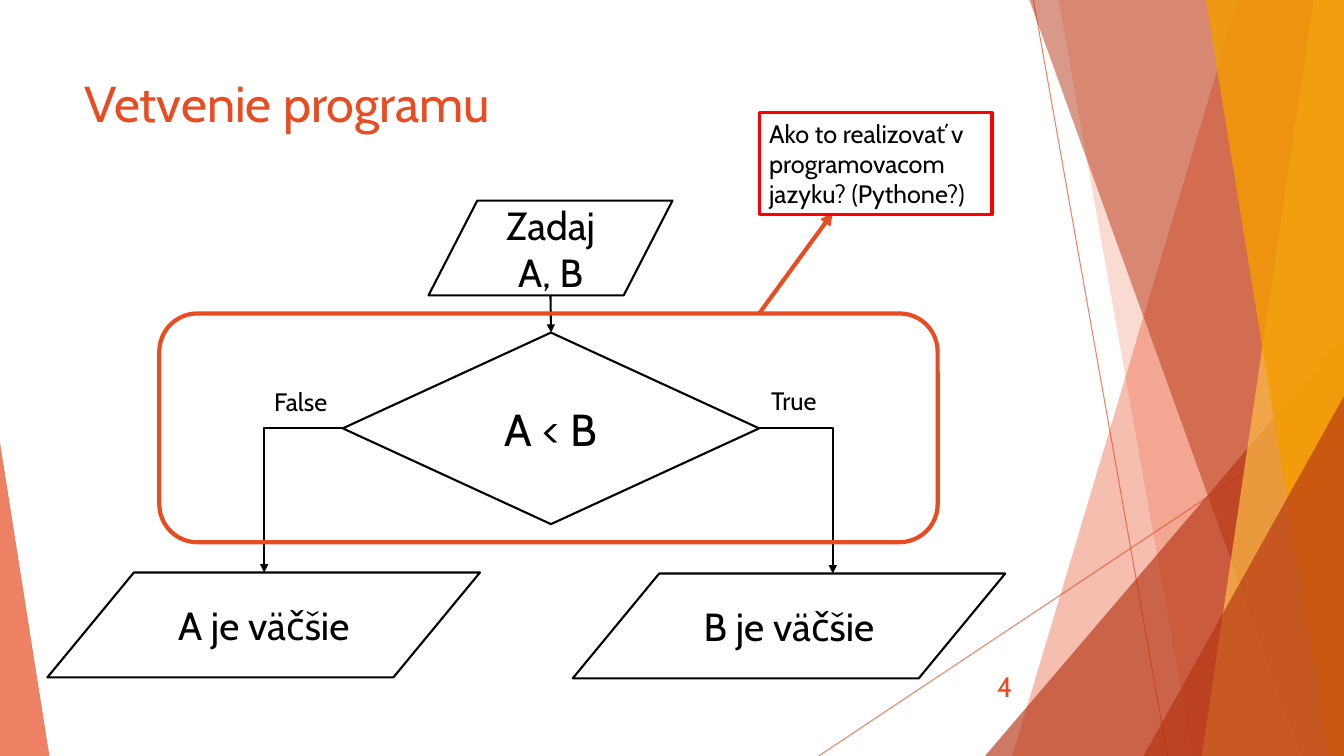
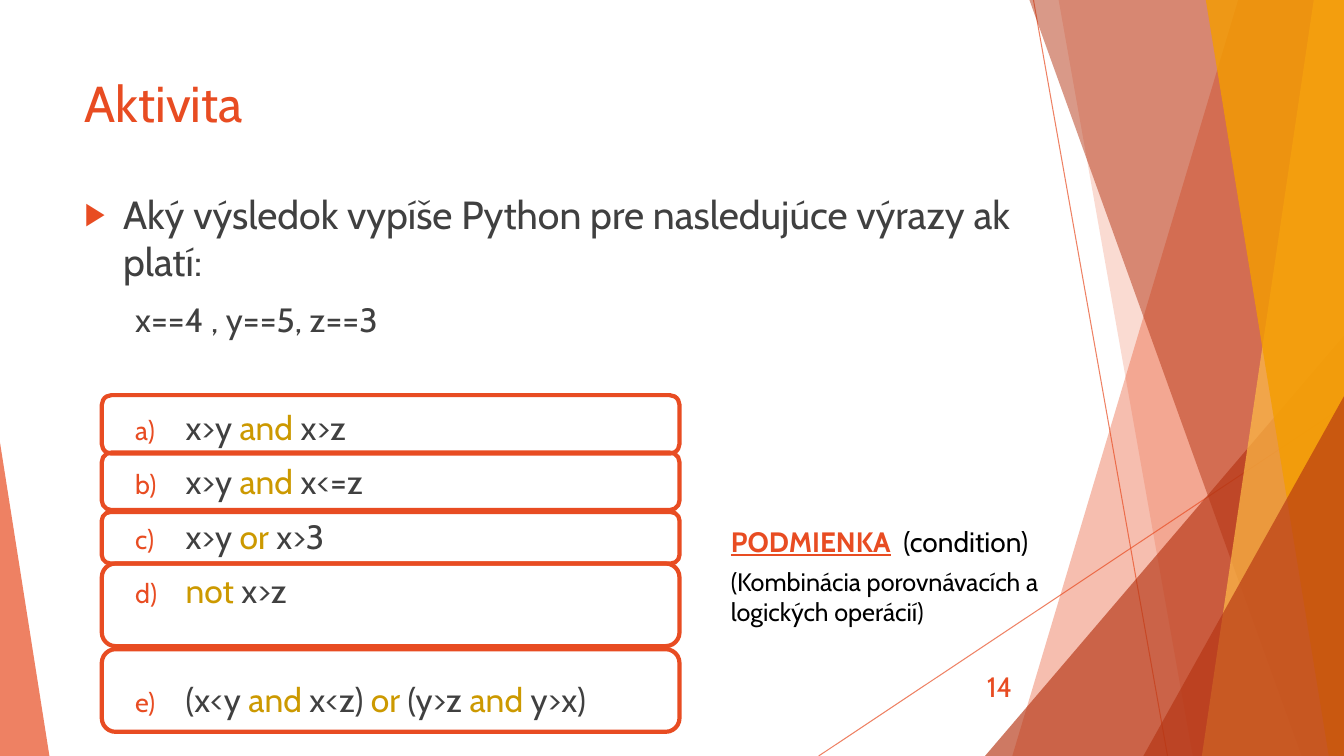
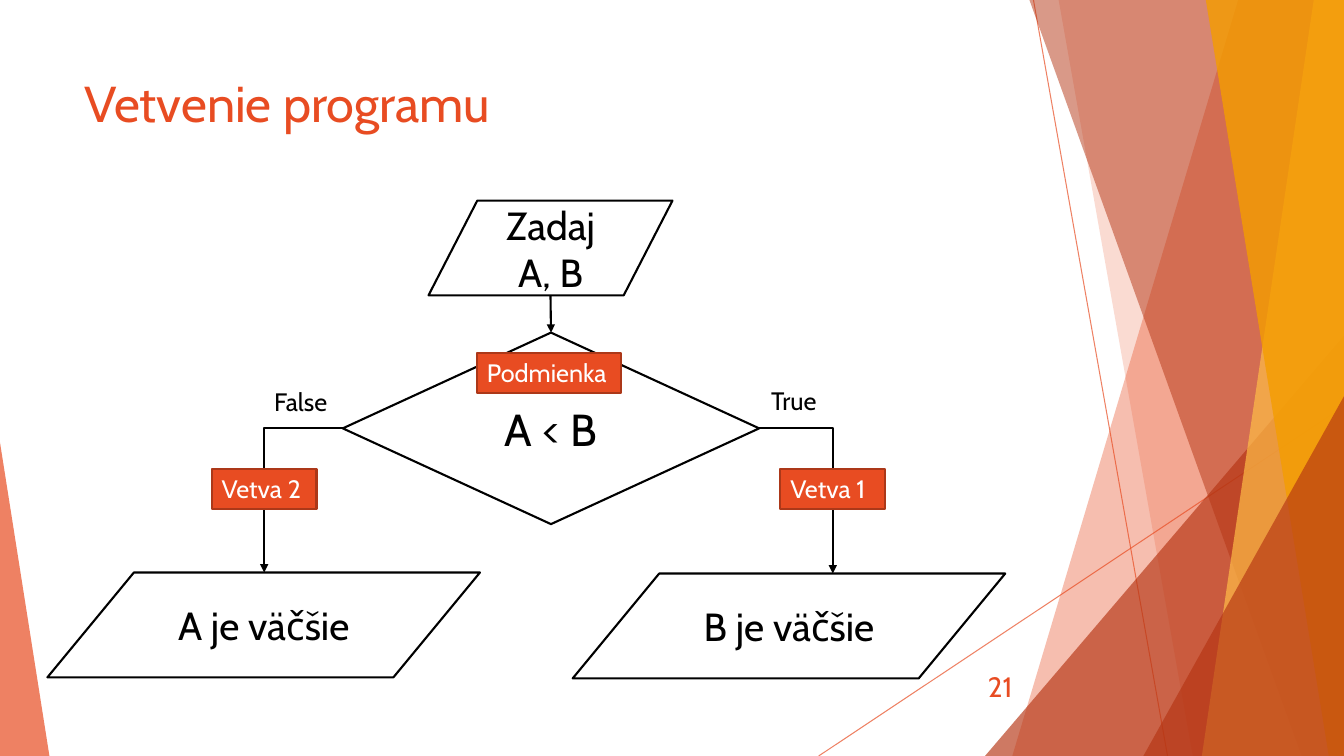
from lxml import etree
from pptx import Presentation
from pptx.dml.color import RGBColor
from pptx.enum.shapes import MSO_CONNECTOR, MSO_SHAPE
from pptx.enum.text import MSO_ANCHOR, MSO_AUTO_SIZE, PP_ALIGN
from pptx.oxml.ns import qn
from pptx.util import Inches, Pt

STRAIGHT, ELBOW = MSO_CONNECTOR.STRAIGHT, MSO_CONNECTOR.ELBOW
RECTANGLE, ROUNDED = MSO_SHAPE.RECTANGLE, MSO_SHAPE.ROUNDED_RECTANGLE
TRIANGLE = MSO_SHAPE.ISOSCELES_TRIANGLE
DATA, DECISION = MSO_SHAPE.FLOWCHART_DATA, MSO_SHAPE.FLOWCHART_DECISION
TOP, MIDDLE = MSO_ANCHOR.TOP, MSO_ANCHOR.MIDDLE
LEFT, CENTER, RIGHT = PP_ALIGN.LEFT, PP_ALIGN.CENTER, PP_ALIGN.RIGHT
NO_FIT = MSO_AUTO_SIZE.NONE

WIDTH, HEIGHT = 13.33, 7.5
FONT = "Cabin"
ORANGE = RGBColor(0xE8, 0x4C, 0x22)
RUST = RGBColor(0xB5, 0x35, 0x13)
DARK_ORANGE = RGBColor(0xAC, 0x38, 0x19)
AMBER = RGBColor(0xFF, 0xBD, 0x47)
GOLD = RGBColor(0xF4, 0x9D, 0x00)
KEYWORD = RGBColor(0xCC, 0x99, 0x00)
GRAY = RGBColor(0x40, 0x40, 0x40)
BLACK = RGBColor(0, 0, 0)
WHITE = RGBColor(0xFF, 0xFF, 0xFF)
RED = RGBColor(0xFF, 0, 0)

TITLE_LAYOUT, CONTENT_LAYOUT = 5, 1
CHART_LEFT, CHART_TOP = 0.47, 1.99
LINE_PITCH = 38.6
KEYWORDS = ("and", "or", "not")


def inches(*lengths):
    return [Inches(length) for length in lengths]


def style_span(span, size, color):
    span.font.name = FONT
    span.font.size = Pt(size)
    span.font.color.rgb = color


def write(frame, text, size, color, align=LEFT, anchor=TOP, wrap=True):
    frame.word_wrap = wrap
    frame.auto_size = NO_FIT
    frame.vertical_anchor = anchor
    para = frame.paragraphs[0]
    para.text = text
    para.alignment = align
    style_span(para.runs[0], size, color)


def add_span(para, text, size, color):
    span = para.add_run()
    span.text = text
    style_span(span, size, color)
    return span


def set_alpha(shape, percent):
    color = shape._element.spPr.find(".//" + qn("a:srgbClr"))
    etree.SubElement(color, qn("a:alpha")).set("val", str(percent * 1000))


def add_box(slide, kind, box, fill, line, weight):
    shape = slide.shapes.add_shape(kind, *inches(*box))
    shape.shadow.inherit = False
    if fill is None:
        shape.fill.background()
    else:
        shape.fill.solid()
        shape.fill.fore_color.rgb = fill
    shape.line.color.rgb = line
    shape.line.width = Pt(weight)
    return shape


def add_label(slide, box, text, size, color, **layout):
    label = slide.shapes.add_textbox(*inches(*box))
    write(label.text_frame, text, size, color, **layout)


def add_line(shapes, kind, start, end, color, weight):
    line = shapes.add_connector(kind, *inches(*start, *end))
    line.line.color.rgb = color
    line.line.width = Pt(weight)
    etree.SubElement(line._element.spPr, qn("a:effectLst"))
    return line


def add_arrow(slide, kind, start, end, color, weight):
    arrow = add_line(slide.shapes, kind, start, end, color, weight)
    if kind == ELBOW:
        arrow._element.spPr.find(qn("a:prstGeom")).set("prst", "bentConnector2")
    etree.SubElement(arrow.line._get_or_add_ln(), qn("a:tailEnd")).set("type", "triangle")
    return arrow


def add_band(group, top_x, bottom_x):
    """Band from a slanted left edge to the right edge of the slide."""
    outline = group.shapes.build_freeform(*inches(top_x, 0))
    corners = ((WIDTH, 0), (WIDTH, HEIGHT), (bottom_x, HEIGHT))
    outline.add_line_segments([inches(*corner) for corner in corners])
    return outline.convert_to_shape()


def add_wedge(group, left, top, width, apex):
    """Triangle standing on the bottom edge of the slide."""
    wedge = group.shapes.add_shape(TRIANGLE, *inches(left, top, width, HEIGHT - top))
    wedge.adjustments[0] = apex
    return wedge


def decorate_master(deck, slide):
    """Draw the facets and move them to the master, which every slide shows."""
    group = slide.shapes.add_group_shape()
    for start, end in (((10.25, 0), (11.58, HEIGHT)), ((WIDTH, 4.03), (8.12, HEIGHT))):
        set_alpha(add_line(group.shapes, STRAIGHT, start, end, ORANGE, 0.75), 70)
    facets = (
        (add_band, (12.28, 10.04), ORANGE, 36),
        (add_band, (10.5, 11.83), ORANGE, 20),
        (add_wedge, (9.77, 3.33, 3.56, 1), RUST, 66),
        (add_band, (10.21, 12.91), RUST, 50),
        (add_band, (13.03, 11.92), AMBER, 70),
        (add_band, (11.96, 13.18), GOLD, 80),
        (add_wedge, (11.34, 3.93, 1.99, 1), RUST, 66),
        (add_wedge, (0, 4.39, 0.49, 0), ORANGE, 70),
    )
    for draw, geometry, color, alpha in facets:
        facet = draw(group, *geometry)
        facet.shadow.inherit = False
        facet.fill.solid()
        facet.fill.fore_color.rgb = color
        facet.line.fill.background()
        set_alpha(facet, alpha)
    for number, tag in enumerate(group._element.iter(qn("p:cNvPr")), 100):
        tag.set("id", str(number))
    deck.slide_master.shapes._spTree.append(group._element)


def place(shape, box):
    shape.left, shape.top, shape.width, shape.height = inches(*box)


def add_slide(deck, layout, title, number):
    slide = deck.slides.add_slide(deck.slide_layouts[layout])
    place(slide.shapes.title, (0.74, 0.67, 9.4, 1.44))
    write(slide.shapes.title.text_frame, title, 36, ORANGE)
    add_label(slide, (9.39, 6.61, 0.75, 0.4), number, 20, ORANGE,
              align=RIGHT, anchor=MIDDLE)
    return slide


def add_flowchart(slide, left, top):
    def at(x, y):
        return left + x, top + y

    nodes = (
        (DATA, at(3.78, 0), (2.42, 0.94), "Zadaj A, B", 28),
        (DATA, at(0, 3.69), (4.29, 1.04), "A je väčšie", 28),
        (DATA, at(5.21, 3.7), (4.29, 1.04), "B je väčšie", 28),
        (DECISION, at(2.93, 1.31), (4.13, 1.9), "A < B", 32),
    )
    for kind, corner, size, text, points in nodes:
        node = add_box(slide, kind, corner + size, WHITE, BLACK, 1.5)
        write(node.text_frame, text, points, BLACK, CENTER, MIDDLE)
    decision = node
    add_arrow(slide, ELBOW, at(2.93, 2.26), at(2.15, 3.69), BLACK, 1.5)
    add_arrow(slide, ELBOW, at(7.06, 2.26), at(7.79, 3.7), BLACK, 1.5)
    add_label(slide, at(2.15, 1.79) + (0.78, 0.4), "False", 18, BLACK, wrap=False)
    add_label(slide, at(7.08, 1.78) + (0.7, 0.4), "True", 18, BLACK, wrap=False)
    entry = add_arrow(slide, STRAIGHT, at(4.99, 0.94), at(4.99, 1.31), BLACK, 1.5)
    entry.end_connect(decision, 0)


def add_question(slide, left, top):
    """Frame round the decision, with an arrow to the question above it."""
    add_box(slide, ROUNDED, (left, top, 7.72, 2.27), None, ORANGE, 3)
    add_arrow(slide, STRAIGHT, (left + 5.95, top), (left + 6.68, top - 1), ORANGE, 3)
    callout = add_box(slide, RECTANGLE, (left + 5.95, top - 1.99, 2.31, 1.01),
                      None, RED, 2.25)
    write(callout.text_frame, "Ako to realizovať v programovacom jazyku? (Pythone?)",
          18, BLACK)


def add_tags(slide, left, top):
    for x, y, width, text in ((4.26, 1.51, 1.43, "Podmienka"),
                              (1.63, 2.66, 1.04, "Vetva 2"),
                              (7.27, 2.66, 1.04, "Vetva 1")):
        tag = add_box(slide, RECTANGLE, (left + x, top + y, width, 0.4),
                      ORANGE, DARK_ORANGE, 1.5)
        write(tag.text_frame, text, 18, WHITE, wrap=False)


def format_item(para, margin, indent, before, bullet, **attributes):
    para.alignment = LEFT
    para.space_before = Pt(before)
    properties = para._p.get_or_add_pPr()
    properties.set("marL", str(Inches(margin)))
    properties.set("indent", str(Inches(indent)))
    if bullet != "a:buNone":
        color = etree.SubElement(properties, qn("a:buClr"))
        etree.SubElement(color, qn("a:srgbClr")).set("val", str(ORANGE))
        etree.SubElement(properties, qn("a:buSzPct")).set("val", "80000")
    mark = etree.SubElement(properties, qn(bullet))
    for name, value in attributes.items():
        mark.set(name, value)


def add_exercise(body, box):
    place(body, box)
    frame = body.text_frame
    write(frame, "Aký výsledok vypíše Python pre nasledujúce výrazy ak platí:", 28, GRAY)
    format_item(frame.paragraphs[0], 0.38, -0.38, 10, "a:buChar", char="▶")
    given = frame.add_paragraph()
    given.level = 1
    add_span(given, "x==4 , y==5, z==3", 24, GRAY)
    format_item(given, 0.5, 0, 10, "a:buNone")
    expressions = (
        (("x>y ", "and", " x>z"), 1),
        (("x>y ", "and", " x<=z"), 0),
        (("x>y ", "or", " x>3"), 0),
        (("not", " x>z"), 0),
        (("(x<y ", "and", " x<z) ", "or", " (y>z ", "and", " y>x)"), 1),
    )
    for parts, skipped_lines in expressions:
        para = frame.add_paragraph()
        para.level = 1
        for part in parts:
            add_span(para, part, 24, KEYWORD if part in KEYWORDS else GRAY)
        format_item(para, 1, -0.5, 10 + skipped_lines * LINE_PITCH,
                    "a:buAutoNum", type="alphaLcParenR")


def add_answer_frames(slide, left, width):
    for top, height in ((3.92, 0.58), (4.49, 0.57), (5.08, 0.51), (5.59, 0.82), (6.44, 0.82)):
        add_box(slide, ROUNDED, (left, top, width, height), None, ORANGE, 3)


def add_definition(slide, box):
    frame = slide.shapes.add_textbox(*inches(*box)).text_frame
    write(frame, "PODMIENKA", 20, ORANGE)
    term = frame.paragraphs[0]
    term.space_after = Pt(6)
    term.runs[0].font.bold = True
    term.runs[0].font.underline = True
    add_span(term, "  (condition)", 20, BLACK)
    add_span(frame.add_paragraph(), "(Kombinácia porovnávacích a logických operácií)",
             18, BLACK)


def main():
    deck = Presentation()
    deck.slide_width, deck.slide_height = inches(WIDTH, HEIGHT)

    branching = add_slide(deck, TITLE_LAYOUT, "Vetvenie programu", "4")
    decorate_master(deck, branching)
    add_flowchart(branching, CHART_LEFT, CHART_TOP)
    add_question(branching, 1.58, 3.11)

    activity = add_slide(deck, CONTENT_LAYOUT, "Aktivita", "14")
    add_exercise(activity.placeholders[1], (0.74, 1.84, 9.76, 5.43))
    add_answer_frames(activity, 1.01, 5.73)
    add_definition(activity, (7.15, 5.15, 3.35, 1.13))

    branches = add_slide(deck, TITLE_LAYOUT, "Vetvenie programu", "21")
    add_flowchart(branches, CHART_LEFT, CHART_TOP)
    add_tags(branches, CHART_LEFT, CHART_TOP)

    deck.save("out.pptx")


if __name__ == "__main__":
    main()
